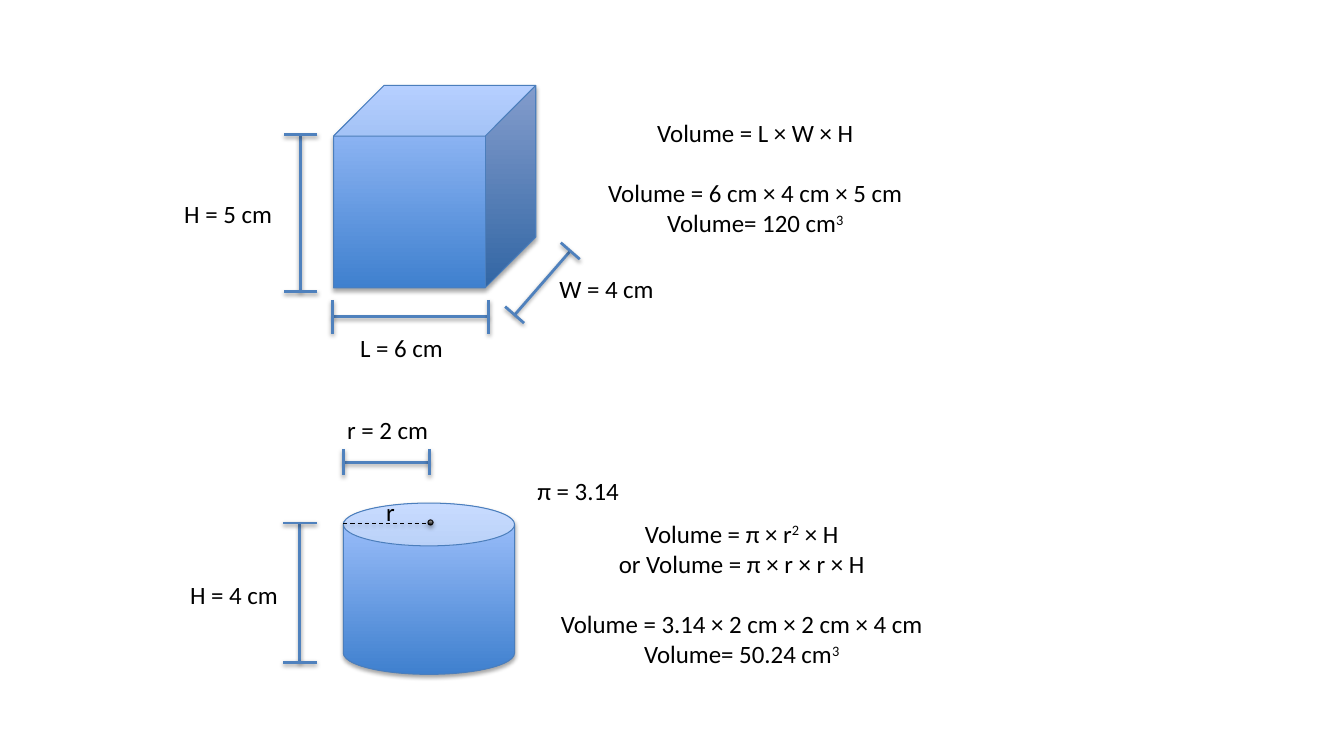
from math import hypot

from lxml.etree import SubElement
from pptx import Presentation
from pptx.dml.color import RGBColor
from pptx.enum.dml import MSO_LINE
from pptx.enum.shapes import MSO_CONNECTOR, MSO_SHAPE
from pptx.enum.text import PP_ALIGN
from pptx.oxml.ns import qn
from pptx.util import Cm, Pt

COLORS = {
    "dimension": "4F81BD",
    "outline": "4B7EBC",
    "solid_dark": "3F80CE",
    "solid_light": "A4C4FF",
    "black": "000000",
    "gray": "BDBDBD",
}


def color(name):
    return RGBColor.from_string(COLORS[name])


def add_shadow(shape, distance, opacity):
    effects = SubElement(shape._element.spPr, qn("a:effectLst"))
    shadow = SubElement(
        effects, qn("a:outerShdw"), blurRad=str(Pt(3.1)), dist=str(Pt(distance)),
        dir="5400000", rotWithShape="0",
    )
    black = SubElement(shadow, qn("a:srgbClr"), val=COLORS["black"])
    SubElement(black, qn("a:alpha"), val=str(opacity * 1000))


def add_solid(slide, kind, left, top, size, dark="solid_dark", light="solid_light", outline="outline"):
    shape = slide.shapes.add_shape(kind, Cm(left), Cm(top), Cm(size[0]), Cm(size[1]))
    shape.fill.gradient()
    shape.fill.gradient_angle = 90
    for stop, name in zip(shape.fill.gradient_stops, (dark, light)):
        stop.color.rgb = color(name)
    shape.line.color.rgb = color(outline)
    shape.line.width = Pt(0.75)
    add_shadow(shape, 1.8, 35)


def add_line(slide, start, end, line_color="dimension", width=2, dash=None):
    line = slide.shapes.add_connector(
        MSO_CONNECTOR.STRAIGHT, Cm(start[0]), Cm(start[1]), Cm(end[0]), Cm(end[1])
    )
    line.line.color.rgb = color(line_color)
    line.line.width = Pt(width)
    if dash:
        line.line.dash_style = dash
    add_shadow(line, 1.6, 38)


def add_dimension(slide, start, end, tick=0.86):
    add_line(slide, start, end)
    run, rise = end[0] - start[0], end[1] - start[1]
    scale = tick / 2 / hypot(run, rise)
    across, down = -rise * scale, run * scale
    for x, y in (start, end):
        add_line(slide, (x - across, y - down), (x + across, y + down))


def add_text(slide, lines, left, top, width, height=1.02, align=PP_ALIGN.LEFT, size=18, gap_before=()):
    box = slide.shapes.add_textbox(Cm(left), Cm(top), Cm(width), Cm(height))
    frame = box.text_frame
    frame.word_wrap = True
    for index, line in enumerate(lines):
        paragraph = frame.paragraphs[0] if index == 0 else frame.add_paragraph()
        paragraph.alignment = align
        if index in gap_before:
            paragraph.space_before = Pt(22)
        for position, part in enumerate(line.split("^")):
            if not part:
                continue
            run = paragraph.add_run()
            run.text = part
            run.font.name = "Calibri"
            run.font.size = Pt(size)
            run.font.color.rgb = color("black")
            if position % 2:
                run.font._element.set("baseline", "30000")


def add_box_problem(slide):
    add_solid(slide, MSO_SHAPE.CUBE, 8.51, 2.18, (5.16, 5.16))
    add_dimension(slide, (7.67, 3.44), (7.67, 7.44))
    add_dimension(slide, (8.48, 8.08), (12.47, 8.08))
    add_dimension(slide, (14.55, 6.4), (13.13, 8.03), tick=0.64)
    add_text(slide, ["H = 5 cm"], 4.45, 4.93, 3.07)
    add_text(slide, ["L = 6 cm"], 8.94, 8.36, 3.05)
    add_text(slide, ["W = 4 cm"], 14.02, 6.86, 3)
    add_text(
        slide,
        ["Volume = L × W × H", "Volume = 6 cm × 4 cm × 5 cm", "Volume= 120 cm^3^"],
        14.81, 2.87, 8.92, 3.33, align=PP_ALIGN.CENTER, gap_before=(1,),
    )


def add_cylinder_problem(slide):
    add_solid(slide, MSO_SHAPE.CAN, 8.76, 12.83, (4.37, 4.37))
    add_dimension(slide, (8.76, 11.79), (10.96, 11.79), tick=0.66)
    add_dimension(slide, (7.65, 13.34), (7.65, 16.89))
    add_line(slide, (8.76, 13.34), (10.96, 13.34), "black", 0.75, MSO_LINE.DASH)
    add_solid(slide, MSO_SHAPE.OVAL, 10.92, 13.26, (0.13, 0.13), "black", "gray", "black")
    add_text(slide, ["r"], 9.6, 12.55, 0.75)
    add_text(slide, ["r = 2 cm"], 8.61, 10.46, 2.7)
    add_text(slide, ["H = 4 cm"], 4.6, 14.66, 2.8)
    add_text(
        slide,
        ["Volume = π × r^2^ × H", "or Volume = π × r × r × H",
         "Volume = 3.14 × 2 cm × 2 cm × 4 cm", "Volume= 50.24 cm^3^"],
        13.36, 13.1, 11.13, 4.11, align=PP_ALIGN.CENTER, gap_before=(2,),
    )
    add_text(slide, ["π = 3.14"], 13.46, 12.01, 2.7)


def main():
    presentation = Presentation()
    presentation.slide_width = Cm(34.29)
    presentation.slide_height = Cm(19.05)
    slide = presentation.slides.add_slide(presentation.slide_layouts[6])
    add_box_problem(slide)
    add_cylinder_problem(slide)
    presentation.save("out.pptx")


if __name__ == "__main__":
    main()
